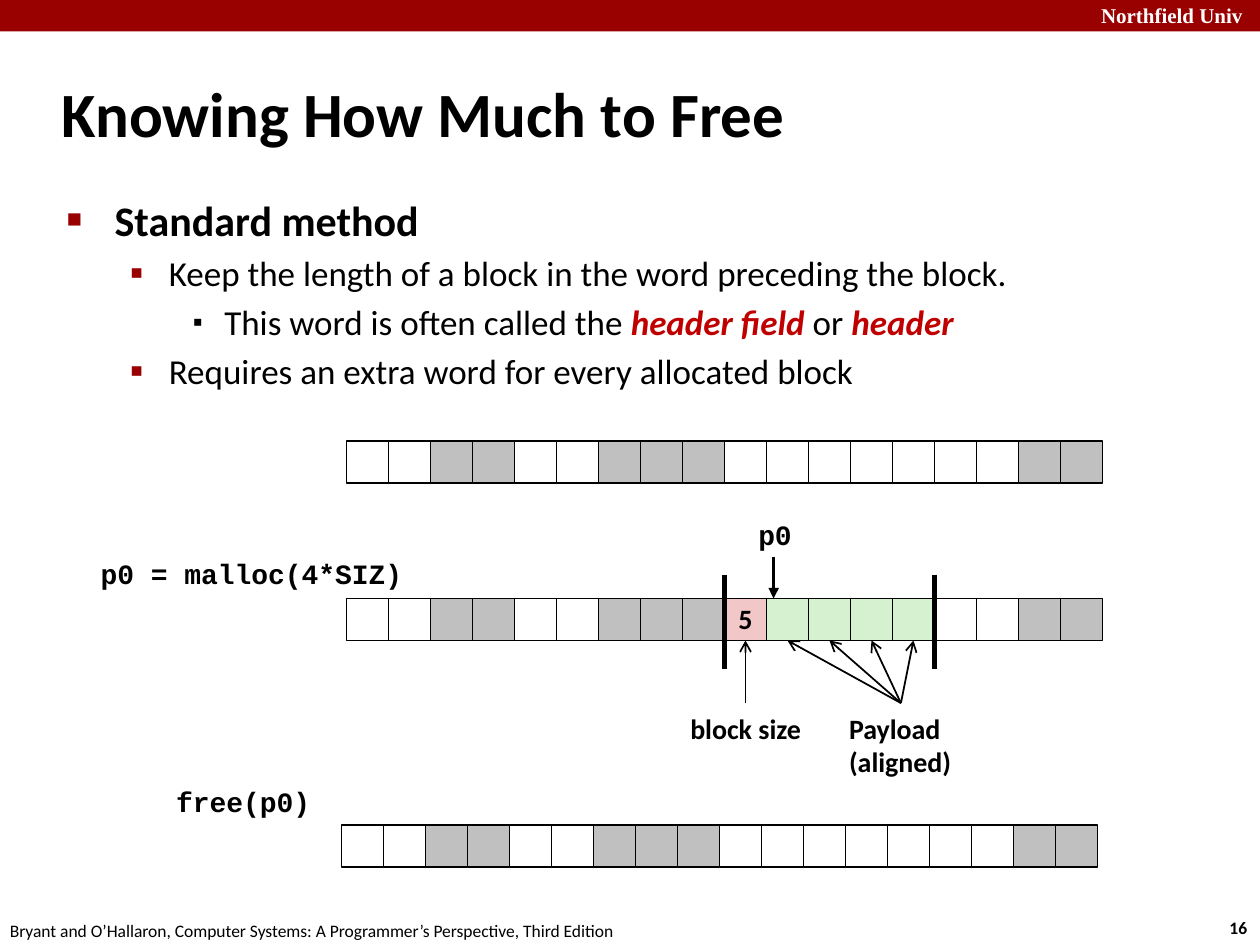
from pptx import Presentation
from pptx import util as u
from pptx.dml.color import RGBColor
from pptx.enum import shapes, text
from pptx.oxml.ns import qn
from lxml import etree

COLORS = {
    "black": "000000", "white": "FFFFFF", "banner": "990000", "emphasis": "C00000",
    "used": "C0C0C0", "payload": "D5F1CF", "header": "F1C7C7",
}
CELL = 1 / 3
CELL_FILLS = {"w": "white", "g": "used", "p": "payload", "h": "header", "-": None}
FREE_ROW = "wwggwwgggwwwwww-gg"
ALLOCATED_ROW = "wwggwwggghppppw-gg"
# Bullet levels: left indent, hanging indent, character, colour, percent, text size
LEVELS = [
    (0.38, 0.38, "■", "banner", 60, 24),
    (0.81, 0.31, "▪", "banner", 110, 20),
    (1.25, 0.25, "▪", "black", 80, 20),
]
# Each item: level, list of (text, emphasised)
BULLETS = [
    (0, [("Standard method", False)]),
    (1, [("Keep the length of a block in the word preceding the block.", False)]),
    (2, [("This word is often called the ", False), ("header field ", True),
         ("or ", False), ("header", True)]),
    (1, [("Requires an extra word for every allocated block", False)]),
]


def rgb(name):
    """Return the named palette colour."""
    return RGBColor.from_string(COLORS[name])


def style(span, size, font="Calibri", color="black", bold=False, italic=False):
    """Format one run."""
    span.font.size = u.Pt(size)
    span.font.name = font
    span.font.color.rgb = rgb(color)
    span.font.bold = bold
    span.font.italic = italic


def place(box, left, top, width, height):
    """Move and size a shape, in inches."""
    box.left, box.top = u.Inches(left), u.Inches(top)
    box.width, box.height = u.Inches(width), u.Inches(height)


def add_label(page, words, area, size=16, font="Calibri", color="black",
              bold=True, spacing=None, wrap=False):
    """Add a left-aligned text box."""
    box = page.shapes.add_textbox(*map(u.Inches, area))
    box.text_frame.text = words
    box.text_frame.word_wrap = wrap
    para = box.text_frame.paragraphs[0]
    para.alignment = text.PP_ALIGN.LEFT
    if spacing:
        para.line_spacing = spacing
    for span in para.runs:
        style(span, size, font, color, bold)


def add_rectangle(page, area, fill, outlined=True):
    """Add a flat rectangle with an optional fill and black outline."""
    box = page.shapes.add_shape(shapes.MSO_SHAPE.RECTANGLE, *map(u.Inches, area))
    box.shadow.inherit = False
    if fill:
        box.fill.solid()
        box.fill.fore_color.rgb = rgb(fill)
    else:
        box.fill.background()
    if outlined:
        box.line.color.rgb = rgb("black")
        box.line.width = u.Pt(1)
    else:
        box.line.fill.background()
    return box


def add_memory_row(page, left, top, pattern):
    """Add a row of memory words and return its cells."""
    return [add_rectangle(page, (left + i * CELL, top, CELL, CELL), CELL_FILLS[code])
            for i, code in enumerate(pattern)]


def add_line(page, start, end, width=1, head=None):
    """Add a straight black line with an optional arrowhead at its end."""
    line = page.shapes.add_connector(
        shapes.MSO_CONNECTOR.STRAIGHT, *map(u.Inches, start + end))
    line.line.color.rgb = rgb("black")
    line.line.width = u.Pt(width)
    if head:
        etree.SubElement(line.line._get_or_add_ln(), qn("a:tailEnd"), type=head)
    etree.SubElement(line._element.spPr, qn("a:effectLst"))


def set_bullet(para, level):
    """Give a paragraph the indent and bullet of its level."""
    left, hanging, mark, color, percent, _ = LEVELS[level]
    para.level = level
    props = para._p.get_or_add_pPr()
    props.set("marL", str(u.Inches(left)))
    props.set("indent", str(-u.Inches(hanging)))
    etree.SubElement(etree.SubElement(props, qn("a:buClr")), qn("a:srgbClr"),
                     val=COLORS[color])
    etree.SubElement(props, qn("a:buSzPct"), val=str(percent * 1000))
    etree.SubElement(props, qn("a:buChar"), char=mark)


def fill_title(page):
    """Place and format the title."""
    title = page.shapes.title
    place(title, 0.39, 0.48, 8.3, 0.83)
    frame = title.text_frame
    frame.text = "Knowing How Much to Free"
    frame.auto_size = text.MSO_AUTO_SIZE.NONE
    frame.vertical_anchor = text.MSO_ANCHOR.MIDDLE
    frame.paragraphs[0].alignment = text.PP_ALIGN.LEFT
    style(frame.paragraphs[0].runs[0], 36, bold=True)


def fill_body(page):
    """Place and format the bulleted list."""
    body = page.placeholders[1]
    place(body, 0.43, 1.49, 8.64, 5.44)
    frame = body.text_frame
    frame.auto_size = text.MSO_AUTO_SIZE.NONE
    for i, (level, pieces) in enumerate(BULLETS):
        para = frame.add_paragraph() if i else frame.paragraphs[0]
        set_bullet(para, level)
        for words, emphasised in pieces:
            span = para.add_run()
            span.text = words
            style(span, LEVELS[level][-1], color="emphasis" if emphasised else "black",
                  bold=emphasised or level == 0, italic=emphasised)


def add_frame(page):
    """Add the banner, page number and footer."""
    add_rectangle(page, (0, 0, 10, 0.25), "banner", outlined=False)
    add_label(page, "Northfield Univ", (8.64, -0.03, 1.43, 0.3), 12,
              "Times New Roman", "white", wrap=True)
    add_label(page, "16", (9.66, 7.23, 0.37, 0.27), 10)
    add_label(page, "Bryant and O’Hallaron, Computer Systems: "
              "A Programmer’s Perspective, Third Edition",
              (-0.02, 7.25, 5.08, 0.27), 10, bold=False)


def add_allocation(page):
    """Add the allocated row with its block limits, pointers and labels."""
    left, top = 2.75, 4.75
    bottom = top + CELL
    cells = add_memory_row(page, left, top, ALLOCATED_ROW)
    header = ALLOCATED_ROW.index("h")
    frame = cells[header].text_frame
    frame.text = "5"
    frame.word_wrap = False
    frame.vertical_anchor = text.MSO_ANCHOR.MIDDLE
    frame.paragraphs[0].alignment = text.PP_ALIGN.CENTER
    frame.paragraphs[0].line_spacing = 0.98
    style(frame.paragraphs[0].runs[0], 16, bold=True)

    for edge in (header, header + 5):
        x = left + edge * CELL
        add_line(page, (x, 4.56), (x, 5.31), 3)
    add_line(page, (6.14, 4.42), (6.14, top), 2, "triangle")
    middle = left + (header + 0.5) * CELL
    add_line(page, (middle, 5.58), (middle, bottom), head="arrow")
    for i in range(1, 5):
        add_line(page, (7.15, 5.58), (middle + i * CELL, bottom), head="arrow")
    add_label(page, "block size", (5.38, 5.61, 1.09, 0.37), spacing=0.98)
    add_label(page, "Payload\v(aligned)", (6.64, 5.61, 1.02, 0.63), spacing=0.98)


def main():
    """Build the slide and save the deck."""
    deck = Presentation()
    deck.slide_width, deck.slide_height = u.Inches(10), u.Inches(7.5)
    page = deck.slides.add_slide(deck.slide_layouts[1])
    add_frame(page)
    fill_title(page)
    fill_body(page)
    for words, area in (("p0 = malloc(4*SIZ)", (0.7, 4.39, 2.63, 0.36)),
                        ("p0", (5.92, 4.08, 0.47, 0.35)),
                        ("free(p0)", (1.3, 6.2, 1.28, 0.36))):
        add_label(page, words, area, font="Courier New", spacing=0.94)
    add_memory_row(page, 2.75, 3.5, FREE_ROW)
    add_allocation(page)
    add_memory_row(page, 2.71, 6.55, FREE_ROW)
    deck.save("out.pptx")


main()
